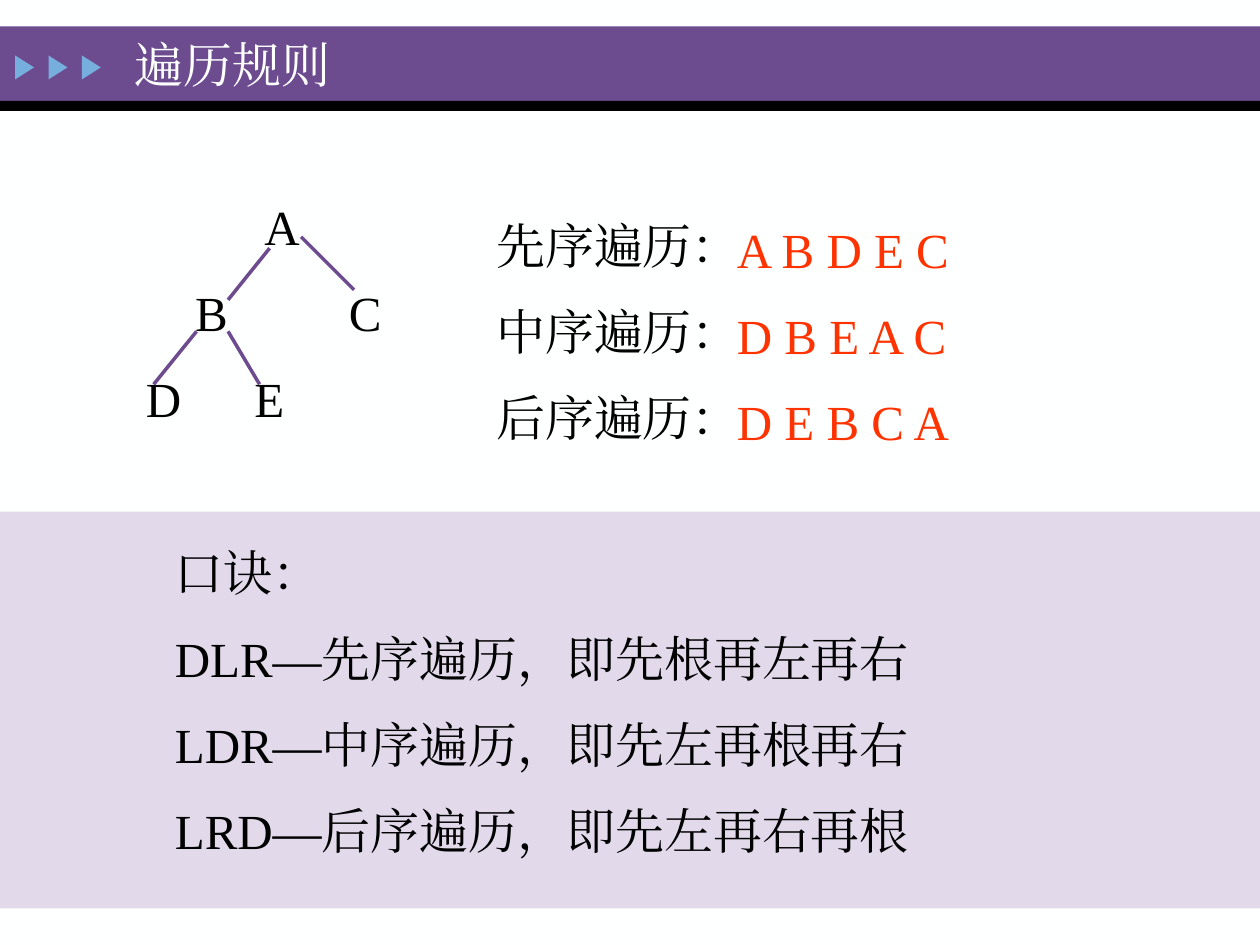
from pptx import Presentation
from pptx.dml.color import RGBColor
from pptx.enum.shapes import MSO_CONNECTOR, MSO_SHAPE
from pptx.enum.text import MSO_ANCHOR, PP_ALIGN
from pptx.oxml.ns import qn
from pptx.util import Inches, Pt
from lxml.etree import SubElement

FONT = "Times New Roman"
PURPLE, BLACK, WHITE, RED = "6C4C8F", "000000", "FEFFFF", "FF3300"
LILAC, BLUE = "E2D9EB", "76AEDD"


def color(value):
    return RGBColor.from_string(value)


def add_block(s, kind, x, y, w, h, fill):
    sp = s.shapes.add_shape(kind, Inches(x), Inches(y), Inches(w), Inches(h))
    sp.shadow.inherit = False
    sp.fill.solid()
    sp.fill.fore_color.rgb = color(fill)
    sp.line.fill.background()
    return sp


def add_lines(s, x, y, w, h, lines, ink=BLACK, align=PP_ALIGN.LEFT, tabs=()):
    tf = s.shapes.add_textbox(Inches(x), Inches(y), Inches(w), Inches(h)).text_frame
    tf.word_wrap = True
    for i, (line, stops) in enumerate(zip(lines, tabs or [()] * len(lines))):
        p = tf.paragraphs[0] if i == 0 else tf.add_paragraph()
        p.text = line
        p.alignment = align
        if i:
            p.space_before = Pt(15.5)
        if stops:
            tab_list = SubElement(p._p.get_or_add_pPr(), qn("a:tabLst"))
            for stop in stops:
                SubElement(tab_list, qn("a:tab"), pos=str(Inches(stop)), algn="l")
        for r in p.runs:
            r.font.size = Pt(28)
            r.font.name = FONT
            r.font.color.rgb = color(ink)
            SubElement(r._r.get_or_add_rPr(), qn("a:ea"), typeface=FONT)
    return tf


def add_header(s, x, y, w):
    add_block(s, MSO_SHAPE.RECTANGLE, x, y, w, 0.59, PURPLE)
    add_block(s, MSO_SHAPE.RECTANGLE, x, y + 0.59, w, 0.08, BLACK)
    for i in range(3):
        sp = add_block(s, MSO_SHAPE.ISOSCELES_TRIANGLE,
                       x + 0.1 + 0.265 * i, y + 0.25, 0.19, 0.15, BLUE)
        sp.rotation = 90
    tf = add_lines(s, x + 0.97, y + 0.01, 3.88, 0.57, ["遍历规则"], WHITE)
    tf.vertical_anchor = MSO_ANCHOR.MIDDLE


def add_tree(s, x, y, w, h):
    add_lines(s, x, y, w, h, ["\tA", "\tB\tC", "D\tE"],
              tabs=[(0.94,), (0.39, 1.61), (0.86,)])
    edges = [
        (1.08, 0.46, 0.75, 0.87),
        (1.33, 0.37, 1.75, 0.79),
        (0.75, 1.12, 1.0, 1.54),
        (0.5, 1.12, 0.16, 1.54),
    ]
    for x1, y1, x2, y2 in edges:
        c = s.shapes.add_connector(MSO_CONNECTOR.STRAIGHT, Inches(x + x1), Inches(y + y1),
                                   Inches(x + x2), Inches(y + y2))
        c.line.color.rgb = color(PURPLE)
        c.line.width = Pt(2)
        SubElement(c._element.spPr, qn("a:effectLst"))


def add_orders(s, x, y, h):
    add_lines(s, x, y, 2.23, h, ["先序遍历：", "中序遍历：", "后序遍历："],
              align=PP_ALIGN.JUSTIFY)
    add_lines(s, x + 1.91, y + 0.03, 2, h, ["A B D E C", "D B E A C", "D E B C A"], RED)


def add_rhyme(s, x, y, w, h):
    add_block(s, MSO_SHAPE.RECTANGLE, x, y, w, h, LILAC)
    add_lines(s, x + 1.29, y + 0.2, 6.67, 2.7, [
        "口诀：",
        "DLR—先序遍历，即先根再左再右",
        "LDR—中序遍历，即先左再根再右",
        "LRD—后序遍历，即先左再右再根",
    ])


def main():
    prs = Presentation()
    prs.slide_width, prs.slide_height = Inches(10), Inches(7.5)
    s = prs.slides.add_slide(prs.slide_layouts[6])
    s.background.fill.solid()
    s.background.fill.fore_color.rgb = color(WHITE)
    add_header(s, 0, 0.21, 10)
    add_rhyme(s, 0, 4.06, 10, 3.15)
    add_orders(s, 3.84, 1.66, 1.97)
    add_tree(s, 1.06, 1.51, 2.45, 1.97)
    prs.save("out.pptx")


if __name__ == "__main__":
    main()
